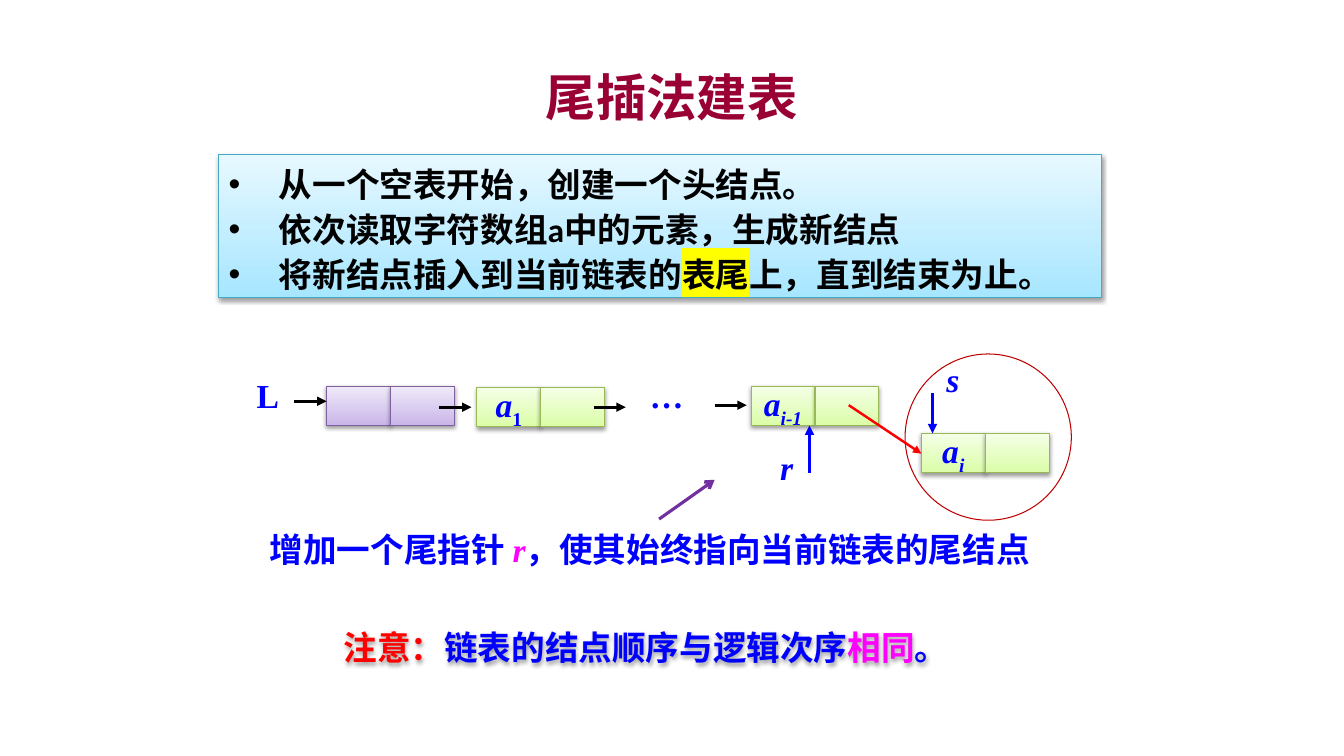
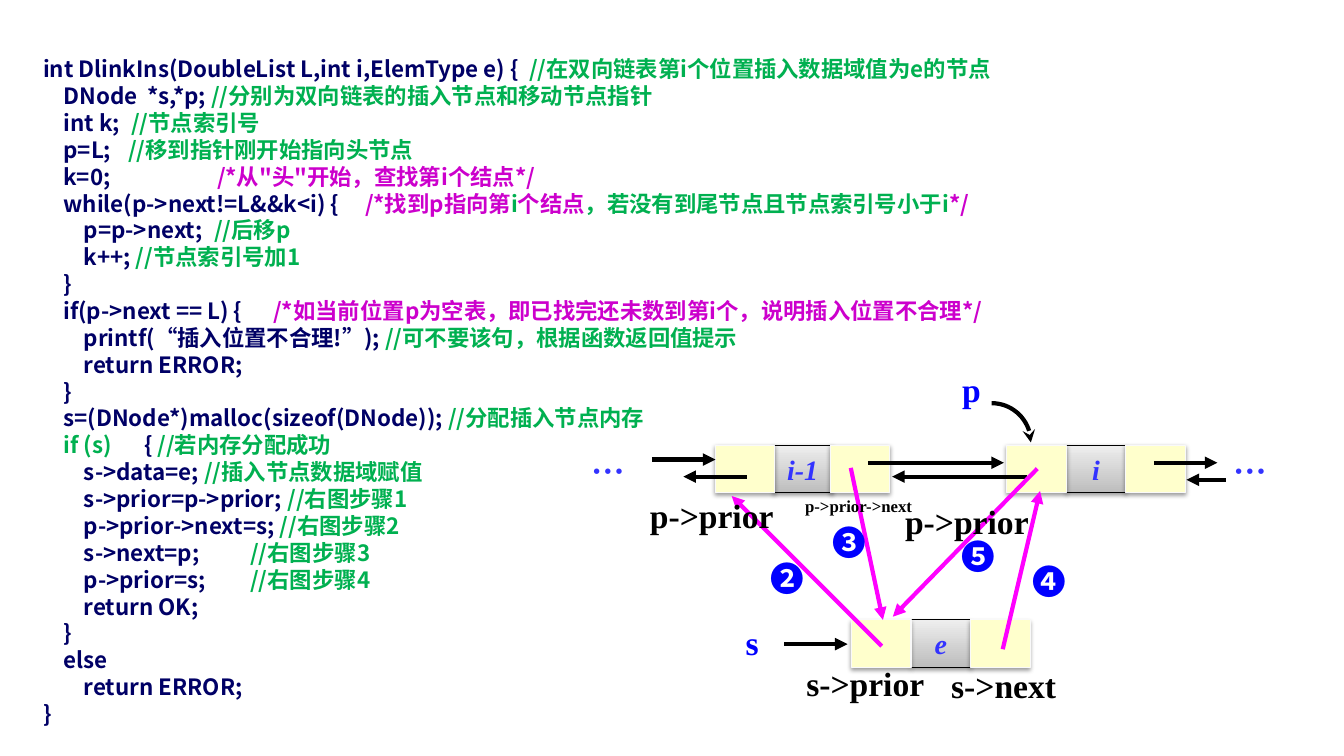
from dataclasses import dataclass
from math import cos, radians, sin

from lxml.etree import SubElement
from pptx import Presentation
from pptx.dml.color import RGBColor
from pptx.enum.shapes import MSO_CONNECTOR, MSO_SHAPE
from pptx.enum.text import MSO_ANCHOR, PP_ALIGN
from pptx.oxml.ns import qn
from pptx.util import Cm, Pt


@dataclass(frozen=True)
class Theme:
    serif: str = "Times New Roman"
    sans: str = "Calibri"
    chinese: str = "Noto Sans CJK SC"
    title: str = "990033"
    black: str = "000000"
    blue: str = "0000FF"
    cell_blue: str = "3333FF"
    red: str = "FF0000"
    ring: str = "C00000"
    magenta: str = "FF00FF"
    purple: str = "7030A0"
    yellow: str = "FFFF00"
    code: str = "000066"
    comment: str = "00B050"
    remark: str = "CC00CC"
    # Gradients run from the bottom colour to the top colour.
    lilac_fill: tuple = ("C9B5E8", "F0EAF9")
    lilac_line: str = "7D60A0"
    green_fill: tuple = ("DAFDA7", "F5FFE7")
    green_line: str = "98B955"
    sky_fill: tuple = ("A7E6FF", "E7F8FF")
    sky_line: str = "46AAC5"
    grey_fill: tuple = ("BDBDBD", "EEEEEE")
    cream_fill: str = "FFFFCC"
    cream_line: str = "F9F9F9"
    title_size: float = 36
    text_size: float = 24
    cell_size: float = 20
    code_size: float = 16
    small_size: float = 12
    code_spacing: float = 19.2
    text_spacing: float = 32


THEME = Theme()


def rgb(value):
    return RGBColor.from_string(value)


def write_span(para, text, size=THEME.text_size, font=THEME.serif, color=THEME.blue,
               bold=True, italic=False, subscript=False, highlight=None):
    span = para.add_run()
    span.text = text
    span.font.size = Pt(size)
    span.font.bold = bold
    span.font.italic = italic
    span.font.color.rgb = rgb(color)
    properties = span.font._element
    if subscript:
        properties.set("baseline", "-25000")
    if highlight:
        mark = SubElement(properties, qn("a:highlight"))
        SubElement(mark, qn("a:srgbClr"), val=highlight)
    span.font.name = font
    SubElement(properties, qn("a:ea"), typeface=THEME.chinese)


def write_para(frame, spans, first=True, align=PP_ALIGN.LEFT, spacing=None,
               bullet=False, tab=None, **style):
    """Write (text, overrides) spans that share a style."""
    para = frame.paragraphs[0] if first else frame.add_paragraph()
    properties = para._p.get_or_add_pPr()
    if bullet:
        properties.set("marL", str(Cm(1.27)))
        properties.set("indent", str(-Cm(1.27)))
        SubElement(properties, qn("a:buFont"), typeface="Arial")
        SubElement(properties, qn("a:buChar"), char="•")
    if tab:
        stops = SubElement(properties, qn("a:tabLst"))
        SubElement(stops, qn("a:tab"), pos=str(Cm(tab)), algn="l")
    para.alignment = align
    if spacing:
        para.line_spacing = Pt(spacing)
    for text, overrides in spans:
        write_span(para, text, **{**style, **overrides})


def add_box(page, left, top, width, height, anchor=MSO_ANCHOR.TOP):
    box = page.shapes.add_textbox(Cm(left), Cm(top), Cm(width), Cm(height))
    box.text_frame.word_wrap = True
    box.text_frame.vertical_anchor = anchor
    return box


def add_label(page, text, left, top, width=1.6, height=1.27, align=PP_ALIGN.LEFT, **style):
    box = add_box(page, left, top, width, height)
    write_para(box.text_frame, [(text, {})], align=align, **style)


def add_shadow(shape):
    shape.shadow.inherit = False
    effects = shape._element.spPr.find(qn("a:effectLst"))
    shadow = SubElement(effects, qn("a:outerShdw"), blurRad="40000", dist="20000",
                        dir="5400000", rotWithShape="0")
    color = SubElement(shadow, qn("a:srgbClr"), val=THEME.black)
    SubElement(color, qn("a:alpha"), val="38000")


def add_panel(page, left, top, width, height, fill, line):
    """Add a shadowed rectangle; a tuple fill is a vertical gradient."""
    panel = page.shapes.add_shape(MSO_SHAPE.RECTANGLE, Cm(left), Cm(top), Cm(width), Cm(height))
    if isinstance(fill, tuple):
        panel.fill.gradient()
        panel.fill.gradient_angle = 90
        for stop, color in zip(panel.fill.gradient_stops, fill):
            stop.color.rgb = rgb(color)
    else:
        panel.fill.solid()
        panel.fill.fore_color.rgb = rgb(fill)
    panel.line.color.rgb = rgb(line)
    panel.line.width = Pt(0.75)
    add_shadow(panel)
    return panel


def write_cell(cell, spans, **style):
    frame = cell.text_frame
    frame.word_wrap = False
    frame.vertical_anchor = MSO_ANCHOR.MIDDLE
    write_para(frame, spans, align=PP_ALIGN.CENTER, **style)


def style_arrow(shape, color, width, head):
    shape.line.color.rgb = rgb(color)
    shape.line.width = Pt(width)
    SubElement(shape.line._get_or_add_ln(), qn("a:tailEnd"), type=head)


def add_arrow(page, start, end, color=THEME.black, width=2.25, head="triangle"):
    arrow = page.shapes.add_connector(
        MSO_CONNECTOR.STRAIGHT, *(Cm(value) for value in (*start, *end)))
    style_arrow(arrow, color, width, head)
    SubElement(arrow._element.spPr, qn("a:effectLst"))


def add_curved_arrow(page, left, top, radius):
    """Draw a quarter circle from its top to its right end."""
    points = [(Cm(left + radius * sin(radians(angle))),
               Cm(top + radius - radius * cos(radians(angle)))) for angle in range(0, 91, 5)]
    builder = page.shapes.build_freeform(*points[0])
    builder.add_line_segments(points[1:], close=False)
    curve = builder.convert_to_shape()
    curve.fill.background()
    curve.shadow.inherit = False
    style_arrow(curve, THEME.black, 3, "stealth")


def add_single_node(page, left, top, index=None, subscript_italic=True,
                    fill=THEME.green_fill, line=THEME.green_line):
    width = 1.61
    data, _ = [add_panel(page, left + step * width, top, width, 1, fill, line)
               for step in range(2)]
    if index:
        write_cell(data, [("a", {"italic": True}),
                          (index, {"italic": subscript_italic, "subscript": True})])


def add_double_node(page, left, top, text, pitch=1.5):
    width, height = 1.5, 1.19
    data = add_panel(page, left + pitch, top, width, height, THEME.grey_fill, THEME.black)
    write_cell(data, [(text, {})], size=THEME.cell_size, color=THEME.cell_blue, italic=True)
    for step in (0, 2):
        add_panel(page, left + step * pitch, top, width, height,
                  THEME.cream_fill, THEME.cream_line)


def build_tail_insertion(page):
    title = add_box(page, 2.54, 1.47, 28.78, 1.91, MSO_ANCHOR.MIDDLE)
    write_para(title.text_frame, [("尾插法建表", {})], align=PP_ALIGN.CENTER,
               size=THEME.title_size, font=THEME.chinese, color=THEME.title)

    steps = add_panel(page, 5.51, 3.89, 22.25, 3.61, THEME.sky_fill, THEME.sky_line)
    steps.text_frame.word_wrap = True
    steps.text_frame.vertical_anchor = MSO_ANCHOR.TOP
    lines = [
        [("从一个空表开始，创建一个头结点。", {})],
        [("依次读取字符数组a中的元素，生成新结点", {})],
        [("将新结点插入到当前链表的", {}), ("表尾", {"highlight": THEME.yellow}),
         ("上，直到结束为止。", {})],
    ]
    for number, spans in enumerate(lines):
        write_para(steps.text_frame, spans, first=number == 0, bullet=True,
                   spacing=THEME.text_spacing, font=THEME.sans, color=THEME.black)

    ring = page.shapes.add_shape(MSO_SHAPE.OVAL, Cm(22.81), Cm(8.92), Cm(4.19), Cm(4.19))
    ring.fill.background()
    ring.line.color.rgb = rgb(THEME.ring)
    ring.line.width = Pt(0.75)
    ring.shadow.inherit = False

    add_single_node(page, 8.23, 9.73, fill=THEME.lilac_fill, line=THEME.lilac_line)
    add_single_node(page, 12.02, 9.76, "1", subscript_italic=False)
    add_single_node(page, 18.93, 9.73, "i-1")
    add_single_node(page, 23.22, 10.92, "i")

    for left, top in ((7.42, 10.11), (11.07, 10.26), (14.96, 10.26), (18.01, 10.21)):
        add_arrow(page, (left, top), (left + 0.81, top))
    add_arrow(page, (20.4, 11.91), (20.4, 10.72), THEME.blue)
    add_arrow(page, (23.5, 9.91), (23.5, 10.92), THEME.blue)
    add_arrow(page, (16.61, 13.08), (18.01, 12.09), THEME.purple, head="arrow")
    add_arrow(page, (21.39, 10.21), (23.22, 11.43), THEME.red, width=1.75)

    add_label(page, "L", 6.22, 9.32)
    add_label(page, "…", 16.13, 9.32)
    add_label(page, "s", 23.6, 8.92, italic=True)
    add_label(page, "r", 19.41, 11.13, italic=True)

    pointer = add_box(page, 6.55, 13.08, 20.75, 1.3)
    write_para(pointer.text_frame,
               [("增加一个尾指针 ", {}), ("r", {"color": THEME.magenta, "italic": True}),
                ("，使其始终指向当前链表的尾结点", {})],
               align=PP_ALIGN.JUSTIFY, spacing=THEME.text_spacing)
    notice = add_box(page, 8.41, 15.67, 17.2, 1.27)
    write_para(notice.text_frame,
               [("注意：", {"color": THEME.red}), ("链表的结点顺序与逻辑次序", {}),
                ("相同", {"color": THEME.magenta}), ("。", {})], font=THEME.chinese)
    add_shadow(notice)


def add_code(page):
    """Write the listing; each line is its tab stop, its code and its notes."""
    green, pink = THEME.comment, THEME.remark
    lines = [
        (12.25, "int DlinkIns(DoubleList L,int i,ElemType e) {\t",
         ("//在双向链表第i个位置插入数据域值为e的节点", green)),
        (None, "    DNode  *s,*p; ", ("//分别为双向链表的插入节点和移动节点指针", green)),
        (2.22, "    int k;\t", ("//节点索引号", green)),
        (2.14, "    p=L;\t", ("//移到指针刚开始指向头节点", green)),
        (4.38, "    k=0;\t", ("/*从\"头\"开始，查找第i个结点*/", pink)),
        (8.11, "    while(p->next!=L&&k<i) {\t", ("/*找到p指向第", pink), ("i", green),
         ("个结点", pink), ("，若没有到尾节点且节点索引号小于i", green), ("*/", pink)),
        (4.31, "        p=p->next;\t", ("//后移p", green)),
        (None, "        k++; ", ("//节点索引号加1", green)),
        (None, "    }"),
        (5.8, "    if(p->next == L) {\t",
         ("/*如当前位置p为空表，即已找完还未数到第i个，说明插入位置不合理*/", pink)),
        (None, "        printf(“插入位置不合理!”); ", ("//可不要该句，根据函数返回值提示", green)),
        (None, "        return ERROR;"),
        (None, "    }"),
        (None, "    s=(DNode*)malloc(sizeof(DNode)); ", ("//分配插入节点内存", green)),
        (2.54, "    ", ("if (s)", green), ("\t{ ", THEME.code), ("//若内存分配成功", green)),
        (None, "        s->data=e; ", ("//插入节点数据域赋值", green)),
        (None, "        s->prior=p->prior; ", ("//右图步骤1", green)),
        (None, "        p->prior->next=s; ", ("//右图步骤2", green)),
        (5.22, "        s->next=p;\t", ("//右图步骤3", green)),
        (5.22, "        p->prior=s;\t", ("//右图步骤4", green)),
        (None, "        return OK;"),
        (None, "    }"),
        (None, "    else"),
        (None, "        return ERROR;"),
        (None, "}"),
    ]
    listing = add_box(page, 0.84, 1.27, 31.9, 16.94)
    for number, (tab, code, *notes) in enumerate(lines):
        spans = [(code, {})] + [(text, {"color": color}) for text, color in notes]
        write_para(listing.text_frame, spans, first=number == 0, tab=tab,
                   spacing=THEME.code_spacing, size=THEME.code_size,
                   font=THEME.chinese, color=THEME.code)


def build_double_list_insertion(page):
    add_code(page)
    add_double_node(page, 18.03, 11.23, "i-1", pitch=1.45)
    add_double_node(page, 25.37, 11.23, "i")
    add_double_node(page, 21.46, 15.62, "e")

    for start, end, top in ((16.43, 18.03, 11.58), (21.87, 25.3, 11.66), (29.08, 30.68, 11.66),
                            (18.82, 17.22, 12.01), (25.88, 22.48, 12.01),
                            (30.89, 29.9, 12.09), (19.76, 21.36, 16.23)):
        add_arrow(page, (start, top), (end, top), width=3)
    add_curved_arrow(page, 24.99, 10.16, 0.99)
    for start, end in (((25.27, 16.36), (26.21, 12.37)), ((26.14, 11.81), (22.5, 15.54)),
                       ((22.22, 16.28), (18.44, 12.5)), ((21.44, 11.79), (22.25, 15.62))):
        add_arrow(page, start, end, THEME.magenta, width=3)

    for left in (14.53, 30.71):
        add_label(page, "…", left, 11.23, align=PP_ALIGN.CENTER,
                  font=THEME.chinese, color=THEME.cell_blue)
    add_label(page, "p", 24, 9.17)
    add_label(page, "s", 18.54, 15.54)
    for number, left, top in (("❷", 19.18, 13.94), ("❸", 20.73, 13.03),
                              ("❹", 25.76, 14.02), ("❺", 23.98, 13.39)):
        add_label(page, number, left, top, font=THEME.chinese)
    for text, left, top in (("p->prior", 16.13, 12.34), ("p->prior", 22.56, 12.5),
                            ("s->prior", 20.07, 16.59), ("s->next", 23.72, 16.64)):
        add_label(page, text, left, top, width=3.81, color=THEME.black)
    add_label(page, "p->prior->next", 20.04, 12.37, width=3.81, height=0.76,
              size=THEME.small_size, color=THEME.black)


def main():
    deck = Presentation()
    deck.slide_width, deck.slide_height = Cm(33.87), Cm(19.05)
    for build in (build_tail_insertion, build_double_list_insertion):
        build(deck.slides.add_slide(deck.slide_layouts[6]))
    deck.save("out.pptx")


if __name__ == "__main__":
    main()
